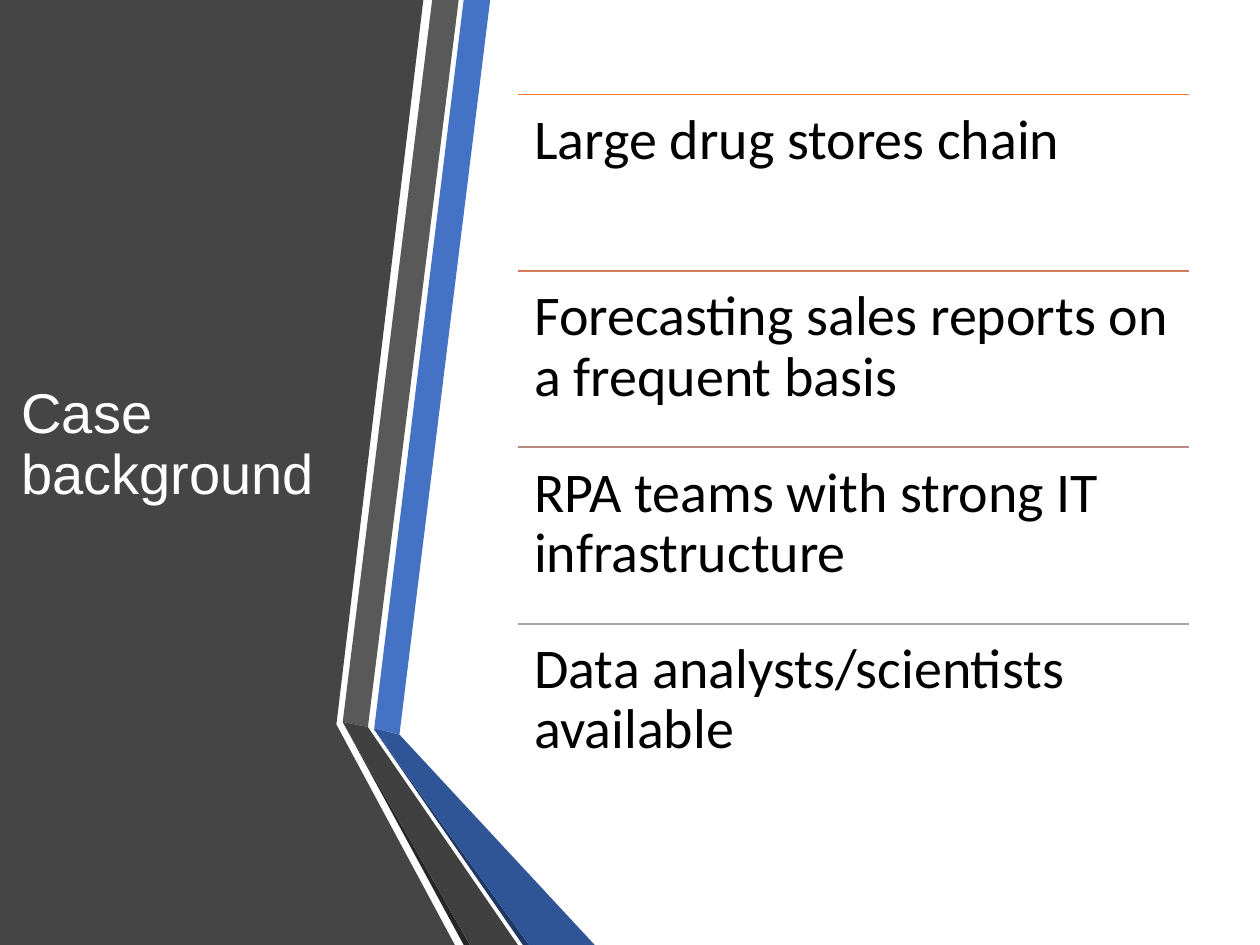
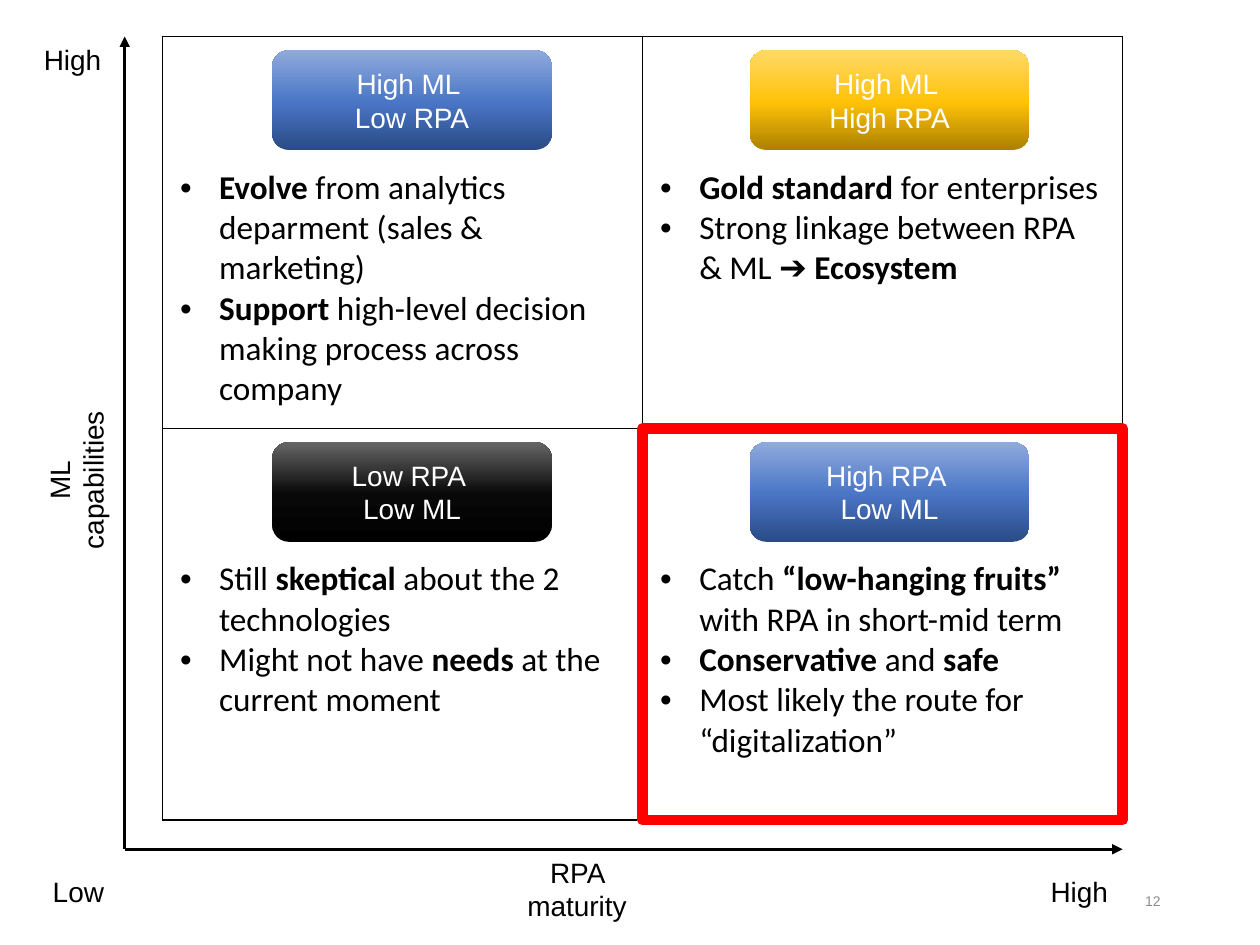
import copy
from dataclasses import dataclass

import pptx
import pptx.dml.color
import pptx.enum.shapes
import pptx.enum.text
import pptx.oxml
import pptx.oxml.ns
import pptx.util
from lxml import etree

Inches = pptx.util.Inches
Pt = pptx.util.Pt
ALIGN = pptx.enum.text.PP_ALIGN
ANCHOR = pptx.enum.text.MSO_ANCHOR
SHAPE = pptx.enum.shapes.MSO_SHAPE
qn = pptx.oxml.ns.qn


@dataclass(frozen=True)
class Theme:
    heading_font: str = "Arial"
    body_font: str = "Calibri"
    large: float = 32
    cell: float = 19
    label: float = 16
    page: float = 8
    ink: str = "000000"
    paper: str = "FFFFFF"
    muted: str = "8C8C8C"
    panel: str = "454545"
    highlight: str = "FF0000"
    blue: tuple = ("2A4B86", "4A76C6", "8FAADC")
    gold: tuple = ("AB8100", "FFC208", "FFD966")
    black: tuple = ("000000", "080808", "666666")


THEME = Theme()


@dataclass(frozen=True)
class Facet:
    color: str
    points: tuple


@dataclass(frozen=True)
class Fact:
    text: str
    rule_color: str


@dataclass(frozen=True)
class Label:
    text: str
    box: tuple
    rotation: float = 0
    align: ALIGN = ALIGN.LEFT
    size: float = THEME.label
    color: str = THEME.ink
    anchor: ANCHOR = ANCHOR.TOP


@dataclass(frozen=True)
class Quadrant:
    """One cell of the matrix; asterisks in points enclose bold words."""
    row: int
    column: int
    badge: tuple
    colors: tuple
    points: tuple


FACETS = (
    Facet(THEME.panel, ((2.64, 0), (3.36, 0), (2.67, 5.75), (3.61, 7.5), (0, 7.5), (0, 0))),
    Facet("4472C4", ((2.97, 5.78), (3.17, 5.83), (3.89, 0), (3.68, 0))),
    Facet("595959", ((3.64, 0), (3.43, 0), (2.72, 5.73), (2.92, 5.77))),
    Facet("262626", ((2.72, 5.73), (3.68, 7.5), (3.73, 7.5))),
    Facet("203864", ((2.97, 5.79), (4.15, 7.5), (4.2, 7.5))),
    Facet("2F5597", ((2.97, 5.79), (4.2, 7.5), (4.72, 7.5), (3.17, 5.83), (2.97, 5.78))),
    Facet("404040", ((4.11, 7.5), (2.96, 5.83), (2.92, 5.77), (2.72, 5.73), (3.73, 7.5))),
)

FACTS = (
    Fact("Large drug stores chain", "ED7D31"),
    Fact("Forecasting sales reports on a frequent basis", "D17B5C"),
    Fact("RPA teams with strong IT infrastructure", "B98A82"),
    Fact("Data analysts/scientists available", "A5A5A5"),
)

QUADRANTS = (
    Quadrant(0, 0, ("High ML ", "Low RPA"), THEME.blue, (
        "*Evolve* from analytics deparment (sales & marketing)",
        "*Support* high-level decision making process across company")),
    Quadrant(0, 1, ("High ML ", "High RPA"), THEME.gold, (
        "*Gold standard *for enterprises",
        "Strong linkage between RPA & ML ➔ *Ecosystem*")),
    Quadrant(1, 0, ("Low RPA ", "Low ML"), THEME.black, (
        "Still *skeptical* about the 2 technologies",
        "Might not have *needs* at the current moment")),
    Quadrant(1, 1, ("High RPA ", "Low ML"), THEME.blue, (
        "Catch *“low-hanging fruits” *with RPA in short-mid term",
        "*Conservative* and *safe*",
        "Most likely the route for “digitalization”")),
)

AXIS_LABELS = (
    Label("ML\vcapabilities", (-0.11, 3.49, 1.43, 0.64), 270, ALIGN.CENTER),
    Label("RPA maturity", (3.9, 6.74, 1.36, 0.64), align=ALIGN.CENTER),
    Label("Low", (0.32, 6.89, 0.62, 0.37)),
    Label("High", (0.25, 0.29, 0.67, 0.37)),
    Label("High", (8.24, 6.89, 0.67, 0.37)),
    Label("12", (7.06, 6.95, 2.25, 0.4), align=ALIGN.RIGHT, size=THEME.page,
          color=THEME.muted, anchor=ANCHOR.MIDDLE),
)

MATRIX_LEFT, MATRIX_TOP = 1.29, 0.29
CELL_WIDTH, CELL_HEIGHT = 3.81, 3.11


def rgb(color: str) -> pptx.dml.color.RGBColor:
    return pptx.dml.color.RGBColor.from_string(color)


def inches(*lengths: float) -> list:
    return [Inches(length) for length in lengths]


def apply(target, formats: dict) -> None:
    for name, value in formats.items():
        setattr(target, name, value)


def style_font(font, face: str, size: float, color: str, bold: bool = False) -> None:
    apply(font, {"name": face, "size": Pt(size), "bold": bold})
    font.color.rgb = rgb(color)


def margins(left: float, top: float, right: float, bottom: float) -> dict:
    names = ("margin_left", "margin_top", "margin_right", "margin_bottom")
    return dict(zip(names, inches(left, top, right, bottom)))


def draw_facet(slide, facet: Facet) -> None:
    start, *rest = [inches(*point) for point in facet.points]
    builder = slide.shapes.build_freeform(*start)
    builder.add_line_segments(rest, close=True)
    face = builder.convert_to_shape()
    face.shadow.inherit = False
    face.fill.solid()
    face.fill.fore_color.rgb = rgb(facet.color)
    face.line.fill.background()


def draw_line(slide, start: tuple, end: tuple, color: str, width: float,
              arrow: bool = False) -> None:
    line = slide.shapes.add_connector(
        pptx.enum.shapes.MSO_CONNECTOR.STRAIGHT, *inches(*start, *end))
    line.line.color.rgb = rgb(color)
    line.line.width = Pt(width)
    properties = line._element.spPr
    if arrow:
        etree.SubElement(properties.find(qn("a:ln")), qn("a:tailEnd"), type="triangle")
    etree.SubElement(properties, qn("a:effectLst"))


def draw_fact(slide, fact: Fact, top: float, height: float) -> None:
    left, width = 4.11, 5.33
    draw_line(slide, (left, top), (left + width, top), fact.rule_color, 1)
    frame = slide.shapes.add_textbox(*inches(left, top, width, height)).text_frame
    apply(frame, {"word_wrap": True, "text": fact.text, **margins(0.13, 0.13, 0.13, 0.13)})
    frame.paragraphs[0].line_spacing = 0.9
    style_font(frame.paragraphs[0].runs[0].font, THEME.body_font, THEME.large, THEME.ink)


def draw_label(slide, label: Label) -> None:
    box = slide.shapes.add_textbox(*inches(*label.box))
    box.rotation = label.rotation
    apply(box.text_frame, {"word_wrap": True, "text": label.text,
                           "vertical_anchor": label.anchor})
    paragraph = box.text_frame.paragraphs[0]
    paragraph.alignment = label.align
    for run in paragraph.runs:
        style_font(run.font, THEME.heading_font, label.size, label.color)


def fill_gradient(shape, colors: tuple) -> None:
    """Blend three colours from the bottom edge to the top."""
    shape.fill.gradient()
    shape.fill.gradient_angle = 90
    stop_list = shape._element.spPr.find(".//" + qn("a:gsLst"))
    stop_list.append(copy.deepcopy(stop_list[0]))
    for stop, color, position in zip(shape.fill.gradient_stops, colors, (0, 0.48, 1)):
        stop.color.rgb = rgb(color)
        stop.position = position


def draw_badge(slide, quadrant: Quadrant) -> None:
    left = 2.16 + quadrant.column * 3.79
    top = 0.4 + quadrant.row * CELL_HEIGHT
    badge = slide.shapes.add_shape(SHAPE.ROUNDED_RECTANGLE, *inches(left, top, 2.22, 0.79))
    badge.shadow.inherit = False
    badge.line.fill.background()
    fill_gradient(badge, quadrant.colors)
    apply(badge.text_frame, {"text": "\n".join(quadrant.badge), "word_wrap": True,
                             "vertical_anchor": ANCHOR.MIDDLE})
    for paragraph in badge.text_frame.paragraphs:
        paragraph.alignment = ALIGN.CENTER
        style_font(paragraph.runs[0].font, THEME.heading_font, THEME.label, THEME.paper)


def add_bullet(paragraph) -> None:
    properties = paragraph._p.get_or_add_pPr()
    indent = Inches(0.31)
    properties.set("marL", str(indent))
    properties.set("indent", str(-indent))
    etree.SubElement(properties, qn("a:buFont"), typeface="Arial")
    etree.SubElement(properties, qn("a:buChar"), char="•")


def border_cell(cell) -> None:
    properties = cell._tc.get_or_add_tcPr()
    for position, side in enumerate(("lnL", "lnR", "lnT", "lnB")):
        edge = etree.Element(qn("a:" + side), w=str(Pt(1)))
        paint = etree.SubElement(edge, qn("a:solidFill"))
        etree.SubElement(paint, qn("a:srgbClr"), val=THEME.ink)
        properties.insert(position, edge)


def fill_quadrant(cell, quadrant: Quadrant) -> None:
    apply(cell, margins(0.14, 1.04, 0.14, 0.07))
    cell.fill.background()
    border_cell(cell)
    for index, point in enumerate(quadrant.points):
        frame = cell.text_frame
        paragraph = frame.add_paragraph() if index else frame.paragraphs[0]
        add_bullet(paragraph)
        for part, words in enumerate(point.split("*")):
            if words:
                run = paragraph.add_run()
                run.text = words
                style_font(run.font, THEME.body_font, THEME.cell, THEME.ink, part % 2 == 1)


def build_background(deck) -> None:
    slide = deck.slides.add_slide(deck.slide_layouts[5])
    for facet in FACETS:
        draw_facet(slide, facet)
    title = slide.shapes.title
    apply(title, dict(zip(("left", "top", "width", "height"), inches(0.07, 0.75, 2.65, 5.58))))
    apply(title.text_frame, {"text": "Case background", "word_wrap": True,
                             "vertical_anchor": ANCHOR.MIDDLE})
    heading = title.text_frame.paragraphs[0]
    apply(heading, {"alignment": ALIGN.LEFT, "line_spacing": 0.9})
    style_font(heading.runs[0].font, THEME.heading_font, THEME.large, THEME.paper)
    slide.shapes._spTree.append(title._element)  # lift the title above the panel
    pitch = 1.4
    for index, fact in enumerate(FACTS):
        draw_fact(slide, fact, 0.75 + index * pitch, pitch)


def build_matrix(deck) -> None:
    slide = deck.slides.add_slide(deck.slide_layouts[6])
    matrix = slide.shapes.add_table(
        2, 2, *inches(MATRIX_LEFT, MATRIX_TOP, 2 * CELL_WIDTH, 2 * CELL_HEIGHT)).table
    apply(matrix, {"first_row": False, "horz_banding": False})
    for quadrant in QUADRANTS:
        fill_quadrant(matrix.cell(quadrant.row, quadrant.column), quadrant)
    origin = (0.99, 6.74)
    for tip in ((0.99, MATRIX_TOP), (8.91, 6.74)):
        draw_line(slide, origin, tip, THEME.ink, 1.5, arrow=True)
    for label in AXIS_LABELS:
        draw_label(slide, label)
    for quadrant in QUADRANTS:
        draw_badge(slide, quadrant)
    focus = slide.shapes.add_shape(SHAPE.RECTANGLE, *inches(
        MATRIX_LEFT + CELL_WIDTH, MATRIX_TOP + CELL_HEIGHT, CELL_WIDTH, CELL_HEIGHT))
    focus.shadow.inherit = False
    focus.fill.background()
    focus.line.color.rgb = rgb(THEME.highlight)
    focus.line.width = Pt(6)


def main() -> None:
    deck = pptx.Presentation()
    apply(deck, {"slide_width": Inches(10), "slide_height": Inches(7.5)})
    build_background(deck)
    build_matrix(deck)
    deck.save("out.pptx")


if __name__ == "__main__":
    main()
